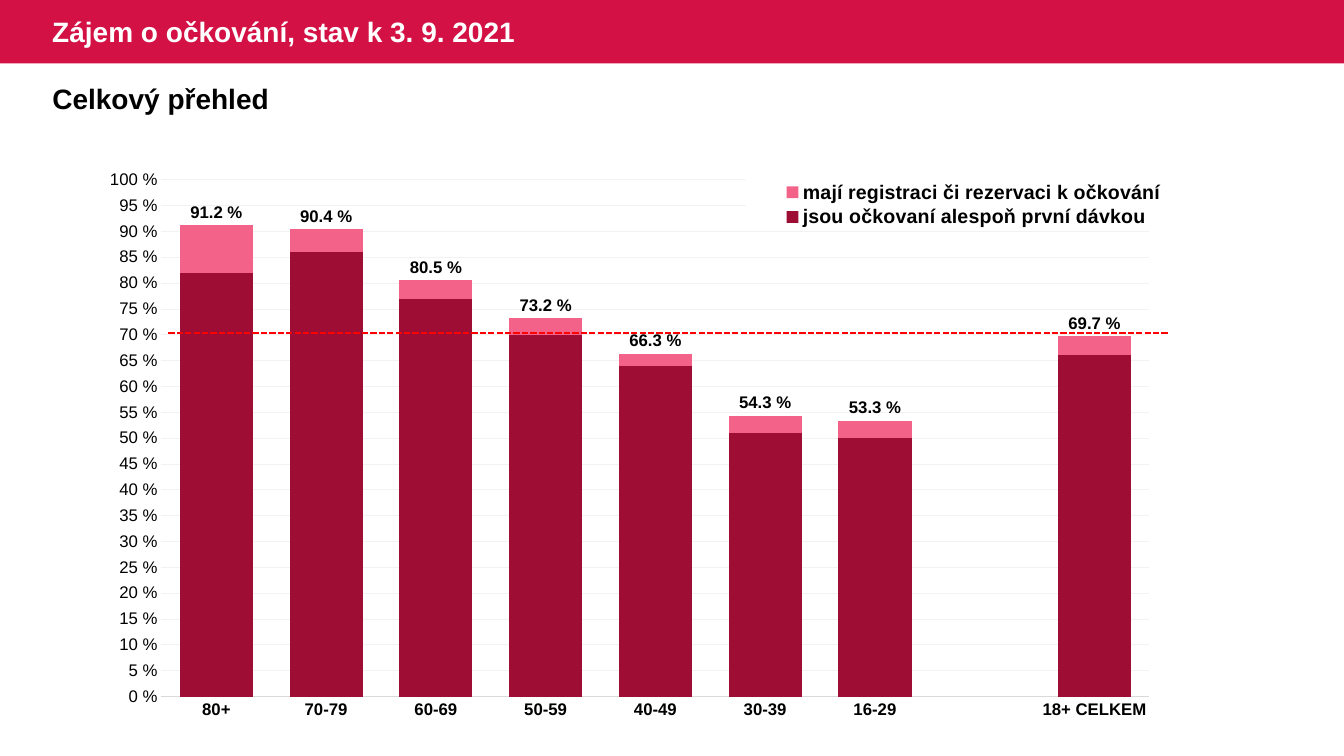
from dataclasses import dataclass

from lxml import etree
from pptx import Presentation
from pptx.chart.data import CategoryChartData
from pptx.dml.color import RGBColor
from pptx.enum.chart import XL_CHART_TYPE, XL_LABEL_POSITION, XL_LEGEND_POSITION, XL_TICK_MARK
from pptx.enum.dml import MSO_LINE
from pptx.enum.shapes import MSO_CONNECTOR, MSO_SHAPE
from pptx.enum.text import MSO_ANCHOR
from pptx.oxml import parse_xml
from pptx.oxml.ns import nsdecls, qn
from pptx.util import Inches, Pt

COLUMNS = XL_CHART_TYPE.COLUMN_CLUSTERED
OUTSIDE = XL_LABEL_POSITION.OUTSIDE_END
TOP = XL_LEGEND_POSITION.TOP
NO_TICK = XL_TICK_MARK.NONE
DASH = MSO_LINE.SQUARE_DOT
STRAIGHT = MSO_CONNECTOR.STRAIGHT
RECT = MSO_SHAPE.RECTANGLE
MIDDLE = MSO_ANCHOR.MIDDLE


@dataclass(frozen=True)
class Theme:
    font: str = "Arial"
    band: str = "D31145"
    white: str = "FFFFFF"
    ink: str = "000000"
    pink: str = "F26289"
    wine: str = "9E0D34"
    goal: str = "FF0000"
    axis: str = "D9D9D9"
    grid: str = "F2F2F2"
    head: int = 20
    key: int = 14
    label: int = 12
    base: int = 10


THEME = Theme()

AGES = ["80+", "70-79", "60-69", "50-59", "40-49", "30-39", "16-29", "", "18+ CELKEM"]
SERIES = [
    ("mají registraci či rezervaci k očkování", THEME.pink,
     [91.2, 90.4, 80.5, 73.2, 66.3, 54.3, 53.3, None, 69.7]),
    ("jsou očkovaní alespoň první dávkou", THEME.wine,
     [82, 86, 77, 70, 64, 51, 50, None, 66]),
]


def rgb(code):
    return RGBColor.from_string(code)


def style(font, size, color=THEME.ink, bold=False):
    font.name = THEME.font
    font.size = Pt(size)
    font.bold = bold
    font.color.rgb = rgb(color)


def add_head(slide, text, color, left, top, width, height):
    box = slide.shapes.add_textbox(Inches(left), Inches(top), Inches(width), Inches(height))
    frame = box.text_frame
    frame.word_wrap = True
    frame.vertical_anchor = MIDDLE
    frame.text = text
    style(frame.paragraphs[0].runs[0].font, THEME.head, color, True)


def add_band(slide, left, top, width, height):
    band = slide.shapes.add_shape(RECT, Inches(left), Inches(top), Inches(width), Inches(height))
    band.shadow.inherit = False
    band.fill.solid()
    band.fill.fore_color.rgb = rgb(THEME.band)
    band.line.fill.background()
    add_head(slide, "Zájem o očkování, stav k 3. 9. 2021", THEME.white,
             left + 0.42, top, 5.9, height)


def make_layout(x, y, w, h, inner=False):
    target = '<c:layoutTarget val="inner"/>' if inner else ""
    return parse_xml(
        f'<c:layout {nsdecls("c")}><c:manualLayout>{target}'
        '<c:xMode val="edge"/><c:yMode val="edge"/>'
        f'<c:x val="{x}"/><c:y val="{y}"/><c:w val="{w}"/><c:h val="{h}"/>'
        '</c:manualLayout></c:layout>')


def set_plot(chart):
    area = chart.plots[0]
    area.gap_width = 50
    area.overlap = 100
    area.vary_by_categories = False
    for series, (name, color, values) in zip(area.series, SERIES):
        series.format.fill.solid()
        series.format.fill.fore_color.rgb = rgb(color)
    labels = area.series[0].data_labels
    labels.show_value = True
    labels.number_format = '0.0" %"'
    labels.number_format_is_linked = False
    labels.position = OUTSIDE
    style(labels.font, THEME.label, bold=True)
    root = chart.plots[0].series[0].format.fill and area.series[0]._element.getparent().getparent()
    for old in root.findall(qn("c:layout")):
        root.remove(old)
    root.insert(0, make_layout(0.05, 0.03, 0.89, 0.9, True))
    fine = root.find(qn("c:layout"))[0]
    for tag, value in zip("xywh", (0.045, 0.032, 0.888, 0.895)):
        fine.find(qn("c:" + tag)).set("val", str(value))


def set_axes(chart):
    ages, share = chart.category_axis, chart.value_axis
    for axis in (ages, share):
        axis.major_tick_mark = NO_TICK
        axis.minor_tick_mark = NO_TICK
    style(ages.tick_labels.font, THEME.label, bold=True)
    ages.format.line.color.rgb = rgb(THEME.axis)
    ages.format.line.width = Pt(0.75)
    style(share.tick_labels.font, THEME.label)
    share.tick_labels.number_format = '0" %"'
    share.tick_labels.number_format_is_linked = False
    share.minimum_scale = 0
    share.maximum_scale = 100
    share.major_unit = 5
    share.format.line.fill.background()
    grid = share.major_gridlines.format.line
    grid.color.rgb = rgb(THEME.grid)
    grid.width = Pt(0.5)


def set_legend(chart):
    chart.has_legend = True
    legend = chart.legend
    legend.position = TOP
    legend.include_in_layout = False
    style(legend.font, THEME.key, bold=True)
    node = legend._element
    for old in node.findall(qn("c:layout")):
        node.remove(old)
    node.find(qn("c:legendPos")).addnext(make_layout(0.57, 0.03, 0.41, 0.09))
    node.find(qn("c:overlay")).addnext(parse_xml(
        f'<c:spPr {nsdecls("c", "a")}><a:solidFill><a:srgbClr val="{THEME.white}"/>'
        '</a:solidFill><a:ln><a:noFill/></a:ln></c:spPr>'))


def add_goal(slide, left, top, width):
    goal = slide.shapes.add_connector(
        STRAIGHT, Inches(left), Inches(top), Inches(left + width), Inches(top))
    goal.line.color.rgb = rgb(THEME.goal)
    goal.line.width = Pt(1.5)
    goal.line.dash_style = DASH
    etree.SubElement(goal._element.spPr, qn("a:effectLst"))


def add_survey(slide, left, top, width, height):
    data = CategoryChartData()
    data.categories = AGES
    for name, color, values in SERIES:
        data.add_series(name, values)
    chart = slide.shapes.add_chart(
        COLUMNS, Inches(left), Inches(top), Inches(width), Inches(height), data).chart
    chart.has_title = False
    style(chart.font, THEME.base)
    set_plot(chart)
    set_axes(chart)
    set_legend(chart)
    add_goal(slide, left + 0.58, top + 1.7, 9.92)


def main():
    deck = Presentation()
    deck.slide_width = Inches(13.33)
    deck.slide_height = Inches(7.5)
    slide = deck.slides.add_slide(deck.slide_layouts[6])
    add_band(slide, 0, 0, 13.33, 0.63)
    add_survey(slide, 1.09, 1.6, 11.05, 5.73)
    add_head(slide, "Celkový přehled", THEME.ink, 0.42, 0.76, 12.39, 0.44)
    deck.save("out.pptx")


if __name__ == "__main__":
    main()
